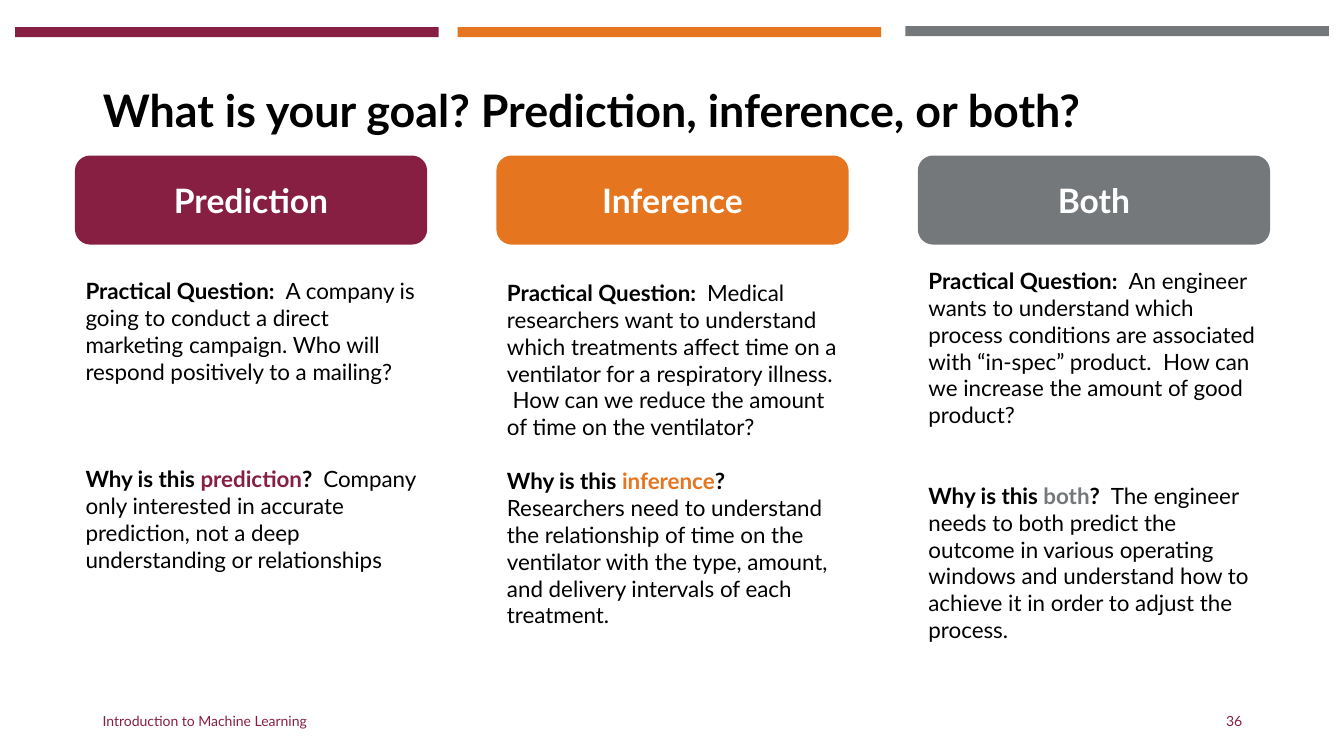
from dataclasses import dataclass

from pptx import Presentation
from pptx.dml.color import RGBColor
from pptx.enum.shapes import MSO_SHAPE
from pptx.enum.text import MSO_ANCHOR, MSO_AUTO_SIZE, PP_ALIGN
from pptx.util import Inches, Pt


@dataclass(frozen=True)
class Theme:
    font: str = "Lato"
    maroon: str = "861F41"
    orange: str = "E5751F"
    gray: str = "75787B"
    black: str = "000000"
    white: str = "FFFFFF"
    title_size: int = 32
    heading_size: int = 24
    body_size: int = 16
    footer_size: int = 10


THEME = Theme()
BODY_LINE = 1.2 * THEME.body_size
COLUMN_LEFT, COLUMN_PITCH, COLUMN_WIDTH = 0.75, 4.18, 3.48
HEADING_TOP, HEADING_HEIGHT = 1.55, 0.87

# "gap" counts the body lines left free between question and reason.
COLUMNS = [
    {
        "heading": "Prediction",
        "color": THEME.maroon,
        "bar": (0.15, 0.27),
        "text_top": 2.7,
        "text_height": 3.9,
        "gap": 3,
        "question": "A company is going to conduct a direct marketing campaign. "
                    "Who will respond positively to a mailing?",
        "reason": "Company only interested in accurate prediction, not a deep "
                  "understanding or relationships",
    },
    {
        "heading": "Inference",
        "color": THEME.orange,
        "bar": (4.54, 0.27),
        "text_top": 2.72,
        "text_height": 4.14,
        "gap": 1,
        "question": "Medical researchers want to understand which treatments affect "
                    "time on a ventilator for a respiratory illness.  How can we "
                    "reduce the amount of time on the ventilator?",
        "reason": "Researchers need to understand the relationship of time on the "
                  "ventilator with the type, amount, and delivery intervals of each "
                  "treatment.",
    },
    {
        "heading": "Both",
        "color": THEME.gray,
        "bar": (8.98, 0.26),
        "text_top": 2.6,
        "text_height": 4.41,
        "gap": 2,
        "question": "An engineer wants to understand which process conditions are "
                    "associated with “in-spec” product.  How can we increase the "
                    "amount of good product?",
        "reason": "The engineer needs to both predict the outcome in various "
                  "operating windows and understand how to achieve it in order to "
                  "adjust the process.",
    },
]


def add_span(para, text, size, color=THEME.black, bold=False):
    span = para.add_run()
    span.text = text
    font_format = {"name": THEME.font, "size": Pt(size), "bold": bold}
    for name, value in font_format.items():
        setattr(span.font, name, value)
    span.font.color.rgb = RGBColor.from_string(color)


def add_block(page, kind, box, color):
    block = page.shapes.add_shape(kind, *map(Inches, box))
    block.shadow.inherit = False
    block.fill.solid()
    block.fill.fore_color.rgb = RGBColor.from_string(color)
    block.line.fill.background()
    return block


def add_text_box(page, box, anchor=MSO_ANCHOR.TOP):
    frame = page.shapes.add_textbox(*map(Inches, box)).text_frame
    frame.word_wrap = True
    frame.vertical_anchor = anchor
    return frame


def add_title(page, box, text):
    title = page.shapes.title
    for name, value in zip(("left", "top", "width", "height"), box):
        setattr(title, name, Inches(value))
    frame = title.text_frame
    frame_format = {"vertical_anchor": MSO_ANCHOR.MIDDLE, "word_wrap": True,
                    "auto_size": MSO_AUTO_SIZE.NONE}
    for name, value in frame_format.items():
        setattr(frame, name, value)
    para = frame.paragraphs[0]
    para.alignment = PP_ALIGN.LEFT
    para.line_spacing = 0.9
    add_span(para, text, THEME.title_size, bold=True)


def add_heading(page, box, text, color):
    heading = add_block(page, MSO_SHAPE.ROUNDED_RECTANGLE, box, color)
    heading.line.color.rgb = RGBColor.from_string(color)
    heading.line.width = Pt(1)
    heading.text_frame.vertical_anchor = MSO_ANCHOR.MIDDLE
    para = heading.text_frame.paragraphs[0]
    para.alignment = PP_ALIGN.CENTER
    add_span(para, text, THEME.heading_size, THEME.white, bold=True)


def add_explanation(page, box, column):
    frame = add_text_box(page, box)
    question = frame.paragraphs[0]
    add_span(question, "Practical Question:  ", THEME.body_size, bold=True)
    add_span(question, column["question"], THEME.body_size)

    reason = frame.add_paragraph()
    reason.space_before = Pt(column["gap"] * BODY_LINE)
    add_span(reason, "Why is this ", THEME.body_size, bold=True)
    add_span(reason, column["heading"].lower(), THEME.body_size, column["color"], bold=True)
    add_span(reason, "?  ", THEME.body_size, bold=True)
    add_span(reason, column["reason"], THEME.body_size)


def add_column(page, left, column):
    add_block(page, MSO_SHAPE.RECTANGLE, (*column["bar"], 4.2, 0.1), column["color"])
    add_heading(page, (left, HEADING_TOP, COLUMN_WIDTH, HEADING_HEIGHT),
                column["heading"], column["color"])
    add_explanation(page, (left, column["text_top"], COLUMN_WIDTH, column["text_height"]),
                    column)


def add_footer(page, box, text, alignment):
    para = add_text_box(page, box, MSO_ANCHOR.MIDDLE).paragraphs[0]
    para.alignment = alignment
    add_span(para, text, THEME.footer_size, THEME.maroon)


def main():
    deck = Presentation()
    deck.slide_width, deck.slide_height = Inches(13.33), Inches(7.5)
    title_only = deck.slide_layouts[5]
    page = deck.slides.add_slide(title_only)

    add_title(page, (0.92, 0.4, 11.5, 1.45),
              "What is your goal? Prediction, inference, or both?")
    for index, column in enumerate(COLUMNS):
        add_column(page, COLUMN_LEFT + index * COLUMN_PITCH, column)
    add_footer(page, (0.92, 6.95, 4.5, 0.4), "Introduction to Machine Learning", PP_ALIGN.LEFT)
    add_footer(page, (9.42, 6.95, 3, 0.4), "36", PP_ALIGN.RIGHT)

    deck.save("out.pptx")


if __name__ == "__main__":
    main()
